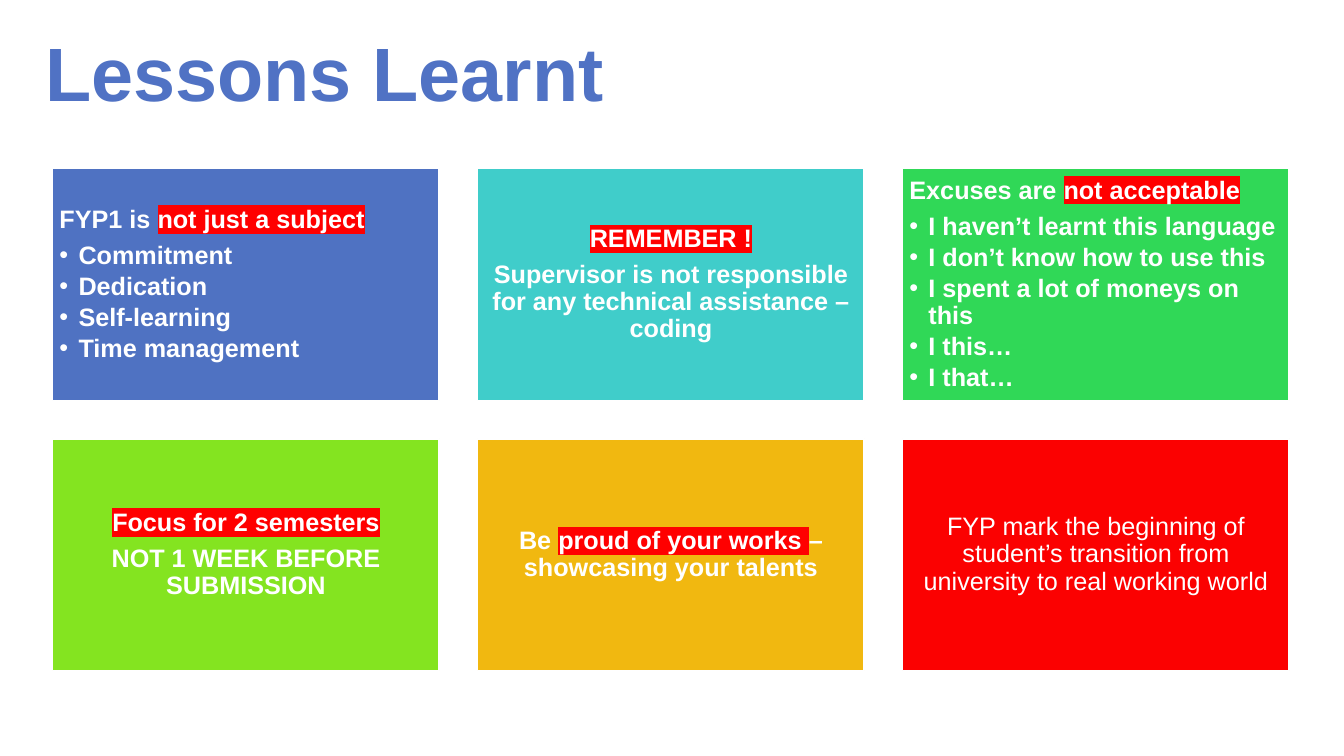
from dataclasses import dataclass

from lxml import etree
from pptx import Presentation
from pptx.dml.color import RGBColor
from pptx.enum.shapes import MSO_SHAPE
from pptx.enum.text import MSO_ANCHOR, MSO_AUTO_SIZE, PP_ALIGN
from pptx.oxml.ns import qn
from pptx.util import Cm, Pt

RECTANGLE = MSO_SHAPE.RECTANGLE
MIDDLE = MSO_ANCHOR.MIDDLE
NO_AUTOFIT = MSO_AUTO_SIZE.NONE
LEFT, CENTER = PP_ALIGN.LEFT, PP_ALIGN.CENTER

FONT = "Arial"
WHITE = "FFFFFF"
HIGHLIGHT = "FF0000"
TITLE_COLOR = "5072C4"
TITLE_LAYOUT = 5

COLUMNS = 3
GRID_LEFT, GRID_TOP = 1.33, 4.25
CARD_WIDTH, CARD_HEIGHT = 9.74, 5.84
COLUMN_STEP, ROW_STEP = 10.71, 6.81
CARD_MARGIN = 0.17
BULLET_INDENT = 0.48


@dataclass(frozen=True)
class Span:
    text: str
    highlighted: bool = False


@dataclass(frozen=True)
class Card:
    fill: str
    lines: tuple[tuple[Span, ...], ...]
    bullets: tuple[str, ...] = ()
    bold: bool = True


CARDS = (
    Card(
        "4F72C2",
        ((Span("FYP1 is "), Span("not just a subject", True)),),
        ("Commitment", "Dedication", "Self-learning", "Time management"),
    ),
    Card(
        "40CDCA",
        (
            (Span("REMEMBER !", True),),
            (Span("Supervisor is not responsible for any technical assistance – coding"),),
        ),
    ),
    Card(
        "30D857",
        ((Span("Excuses are "), Span("not acceptable", True)),),
        (
            "I haven’t learnt this language",
            "I don’t know how to use this",
            "I spent a lot of moneys on this",
            "I this…",
            "I that…",
        ),
    ),
    Card(
        "84E420",
        (
            (Span("Focus for 2 semesters", True),),
            (Span("NOT 1 WEEK BEFORE SUBMISSION"),),
        ),
    ),
    Card(
        "F1B810",
        ((Span("Be "), Span("proud of your works ", True), Span("– showcasing your talents")),),
    ),
    Card(
        "FB0101",
        ((Span("FYP mark the beginning of student’s transition from university to real working world"),),),
        bold=False,
    ),
)


def color(value: str) -> RGBColor:
    return RGBColor.from_string(value)


def add_run(paragraph, span: Span, size: float, text_color: str, bold: bool) -> None:
    run = paragraph.add_run()
    run.text = span.text
    run.font.name = FONT
    run.font.size = Pt(size)
    run.font.bold = bold
    run.font.color.rgb = color(text_color)
    if span.highlighted:
        properties = run._r.get_or_add_rPr()
        highlight = etree.Element(qn("a:highlight"))
        etree.SubElement(highlight, qn("a:srgbClr"), val=HIGHLIGHT)
        properties.find(qn("a:solidFill")).addnext(highlight)


def add_bullet(paragraph) -> None:
    """Give the paragraph a white bullet with a hanging indent."""
    paragraph.level = 1
    properties = paragraph._p.get_or_add_pPr()
    properties.set("marL", str(Cm(BULLET_INDENT)))
    properties.set("indent", str(-Cm(BULLET_INDENT)))
    bullet_color = etree.SubElement(properties, qn("a:buClr"))
    etree.SubElement(bullet_color, qn("a:srgbClr"), val=WHITE)
    etree.SubElement(properties, qn("a:buFont"), typeface=FONT)
    etree.SubElement(properties, qn("a:buChar"), char="•")


def write_title(slide, text: str) -> None:
    title = slide.shapes.title
    title.left, title.top = Cm(0.89), Cm(0.94)
    title.width, title.height = Cm(32.16), Cm(2.01)
    title.text_frame.auto_size = NO_AUTOFIT
    title.text_frame.vertical_anchor = MIDDLE
    paragraph = title.text_frame.paragraphs[0]
    paragraph.alignment = LEFT
    paragraph.line_spacing = 0.9
    add_run(paragraph, Span(text), 54, TITLE_COLOR, True)


def write_card(frame, card: Card) -> None:
    frame.word_wrap = True
    frame.vertical_anchor = MIDDLE
    frame.margin_left = frame.margin_right = Cm(CARD_MARGIN)
    frame.margin_top = frame.margin_bottom = Cm(CARD_MARGIN)
    lines = card.lines + tuple((Span(bullet),) for bullet in card.bullets)
    for index, spans in enumerate(lines):
        paragraph = frame.add_paragraph() if index else frame.paragraphs[0]
        paragraph.alignment = LEFT if card.bullets else CENTER
        paragraph.line_spacing = 0.9
        if index:
            paragraph.space_before = Pt(6.3 if index == 1 else 2.7)
        if index >= len(card.lines):
            add_bullet(paragraph)
        for span in spans:
            add_run(paragraph, span, 18, WHITE, card.bold)


def add_card(slide, card: Card, row: int, column: int) -> None:
    shape = slide.shapes.add_shape(
        RECTANGLE,
        Cm(GRID_LEFT + column * COLUMN_STEP),
        Cm(GRID_TOP + row * ROW_STEP),
        Cm(CARD_WIDTH),
        Cm(CARD_HEIGHT),
    )
    shape.shadow.inherit = False
    shape.fill.solid()
    shape.fill.fore_color.rgb = color(card.fill)
    shape.line.color.rgb = color(WHITE)
    shape.line.width = Pt(1)
    write_card(shape.text_frame, card)


def main() -> None:
    presentation = Presentation()
    presentation.slide_width, presentation.slide_height = Cm(33.87), Cm(19.05)
    slide = presentation.slides.add_slide(presentation.slide_layouts[TITLE_LAYOUT])
    write_title(slide, "Lessons Learnt")
    for index, card in enumerate(CARDS):
        add_card(slide, card, *divmod(index, COLUMNS))
    presentation.save("out.pptx")


if __name__ == "__main__":
    main()
